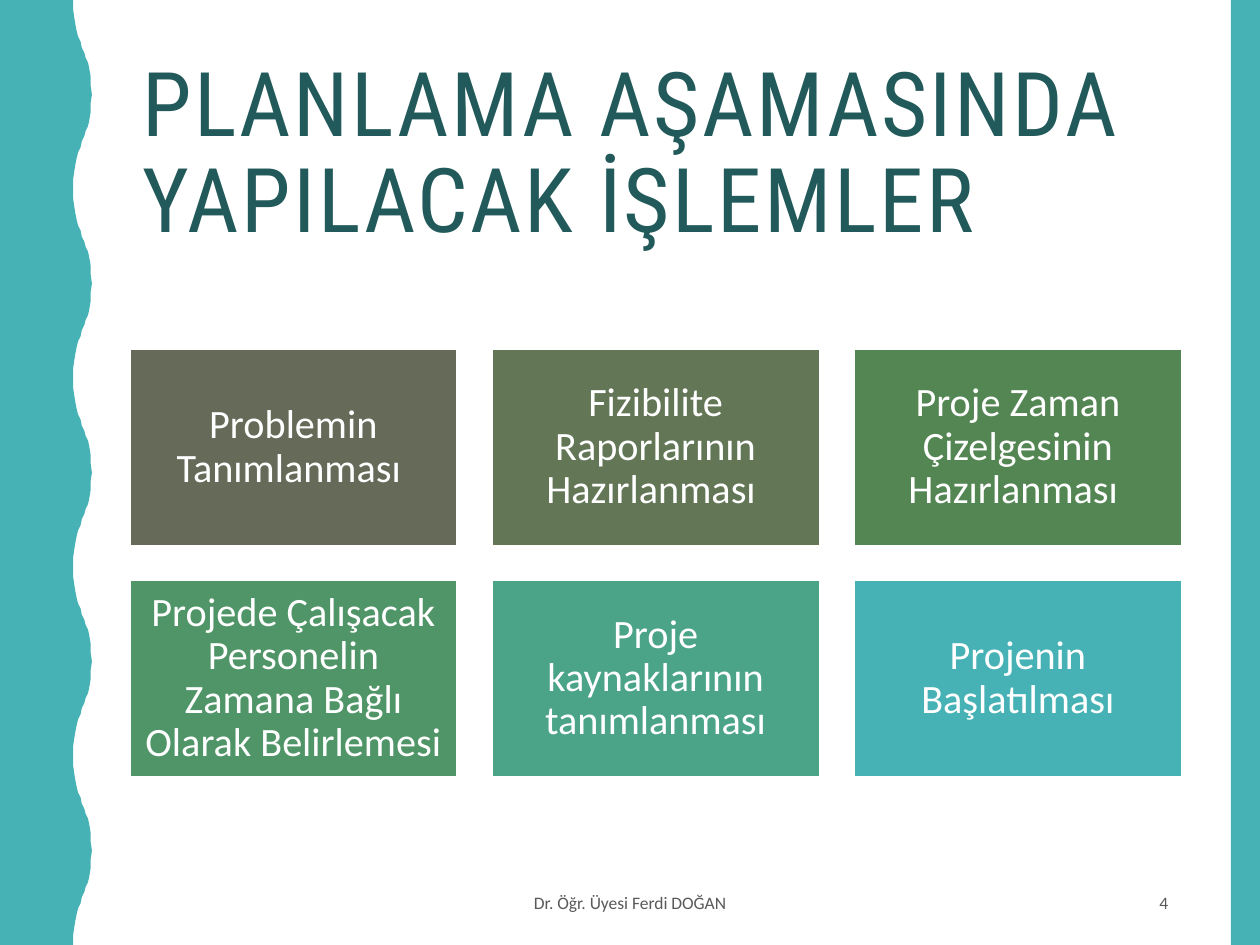
"""Build the slide listing the operations of the planning stage."""
from dataclasses import dataclass

from pptx import Presentation
from pptx.dml.color import RGBColor
from pptx.enum.shapes import MSO_SHAPE
from pptx.enum.text import MSO_ANCHOR, PP_ALIGN
from pptx.util import Inches, Pt

TITLE = "PLANLAMA AŞAMASINDA YAPILACAK İŞLEMLER"
CARDS = [
    ("Problemin Tanımlanması ", "656A59"),
    ("Fizibilite Raporlarının Hazırlanması ", "637757"),
    ("Proje Zaman Çizelgesinin Hazırlanması ", "548654"),
    ("Projede Çalışacak Personelin Zamana Bağlı Olarak Belirlemesi", "509567"),
    ("Proje kaynaklarının tanımlanması", "4BA488"),
    ("Projenin Başlatılması", "46B2B5"),
]
FOOTER = "Dr. Öğr. Üyesi Ferdi DOĞAN"
PAGE_NUMBER = "4"


@dataclass(frozen=True)
class Theme:
    accent: str = "46B2B5"
    dark: str = "22595A"
    white: str = "FFFFFF"
    grey: str = "595959"
    heading_font: str = "Roboto Condensed"
    body_font: str = "Calibri"
    title_size: int = 51
    card_size: int = 23
    footer_size: int = 10


THEME = Theme()
WIDTH, HEIGHT = 10, 7.5
LEFT, RIGHT = 1.03, 9.38
COLUMNS = 3
CARD_WIDTH, CARD_HEIGHT = 2.6, 1.56
GRID_TOP = 2.77
GAP = (RIGHT - LEFT - COLUMNS * CARD_WIDTH) / (COLUMNS - 1)
FOOTER_TOP, FOOTER_HEIGHT = 6.97, 0.38
WAVE_PERIOD = 1.5
HALF_WAVE = [
    (0.58, 0), (0.58, 0.07), (0.59, 0.14), (0.6, 0.2), (0.61, 0.25),
    (0.62, 0.29), (0.64, 0.33), (0.65, 0.38), (0.67, 0.42), (0.68, 0.46),
    (0.7, 0.5), (0.71, 0.55), (0.72, 0.61), (0.72, 0.68), (0.73, 0.75),
]


def color(value):
    return RGBColor.from_string(value)


def paint(shape, fill, line=None):
    shape.shadow.inherit = False
    shape.fill.solid()
    shape.fill.fore_color.rgb = color(fill)
    if line:
        shape.line.color.rgb = color(line)
        shape.line.width = Pt(1)
    else:
        shape.line.fill.background()


def add_rectangle(page, area, fill, line=None):
    box = page.shapes.add_shape(MSO_SHAPE.RECTANGLE, *map(Inches, area))
    paint(box, fill, line)
    return box


def write(box, text, *, size, ink, font=THEME.body_font, align=PP_ALIGN.LEFT,
          leading=1.0, tracking=0, inset=None):
    frame = box.text_frame
    frame.word_wrap = True
    frame.vertical_anchor = MSO_ANCHOR.MIDDLE
    if inset is not None:
        frame.margin_left = frame.margin_right = Inches(inset)
        frame.margin_top = frame.margin_bottom = Inches(inset)
    para = frame.paragraphs[0]
    para.alignment = align
    para.line_spacing = leading
    span = para.add_run()
    span.text = text
    span.font.name = font
    span.font.size = Pt(size)
    span.font.color.rgb = color(ink)
    if tracking:
        span.font._element.set("spc", str(int(tracking * 100)))


def add_text(page, area, text, **style):
    write(page.shapes.add_textbox(*map(Inches, area)), text, **style)


def add_wave(page):
    period = HALF_WAVE + [(x, WAVE_PERIOD - y) for x, y in HALF_WAVE[-2:0:-1]]
    count = int(HEIGHT / WAVE_PERIOD)
    edge = [(x, y + turn * WAVE_PERIOD) for turn in range(count) for x, y in period]
    points = edge + [(HALF_WAVE[0][0], HEIGHT), (0, HEIGHT)]
    builder = page.shapes.build_freeform(0, 0)
    builder.add_line_segments([(Inches(x), Inches(y)) for x, y in points], close=True)
    paint(builder.convert_to_shape(), THEME.accent)


def add_cards(page):
    for index, (text, fill) in enumerate(CARDS):
        row, column = divmod(index, COLUMNS)
        area = (LEFT + column * (CARD_WIDTH + GAP),
                GRID_TOP + row * (CARD_HEIGHT + GAP), CARD_WIDTH, CARD_HEIGHT)
        write(add_rectangle(page, area, fill, THEME.white), text,
              size=THEME.card_size, ink=THEME.white, align=PP_ALIGN.CENTER,
              leading=0.9, inset=0.1)


def main():
    deck = Presentation()
    deck.slide_width, deck.slide_height = Inches(WIDTH), Inches(HEIGHT)
    page = deck.slides.add_slide(deck.slide_layouts[6])
    add_text(page, (LEFT, 0.42, RIGHT - LEFT, 1.63), TITLE, size=THEME.title_size,
             ink=THEME.dark, font=THEME.heading_font, leading=0.9, tracking=1.5)
    add_wave(page)
    add_rectangle(page, (9.77, 0, 0.23, HEIGHT), THEME.accent)
    add_cards(page)
    footer_style = {"size": THEME.footer_size, "ink": THEME.grey}
    add_text(page, (3.31, FOOTER_TOP, 3.38, FOOTER_HEIGHT), FOOTER,
             align=PP_ALIGN.CENTER, **footer_style)
    add_text(page, (7.06, FOOTER_TOP, 2.31, FOOTER_HEIGHT), PAGE_NUMBER,
             align=PP_ALIGN.RIGHT, **footer_style)
    deck.save("out.pptx")


if __name__ == "__main__":
    main()
